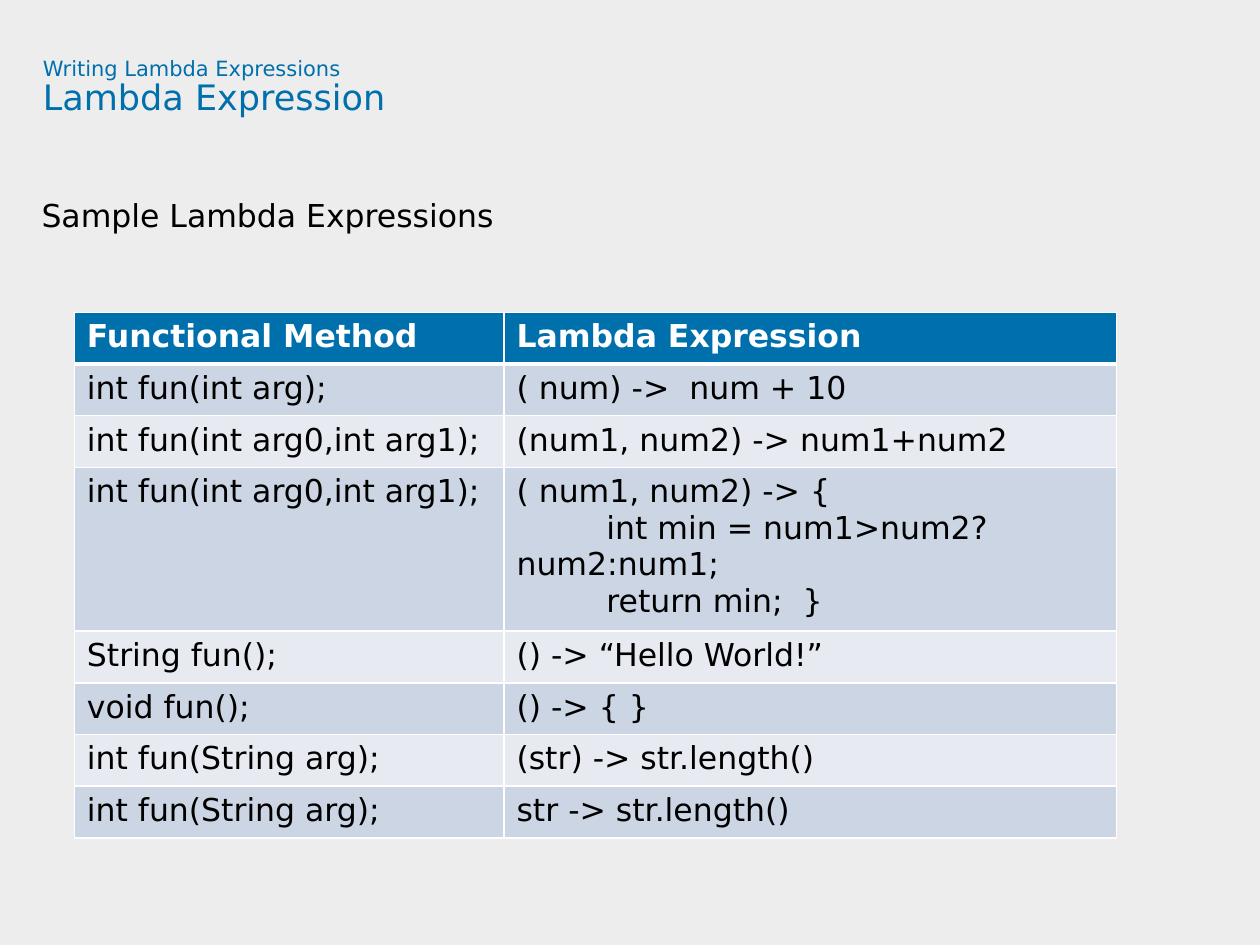
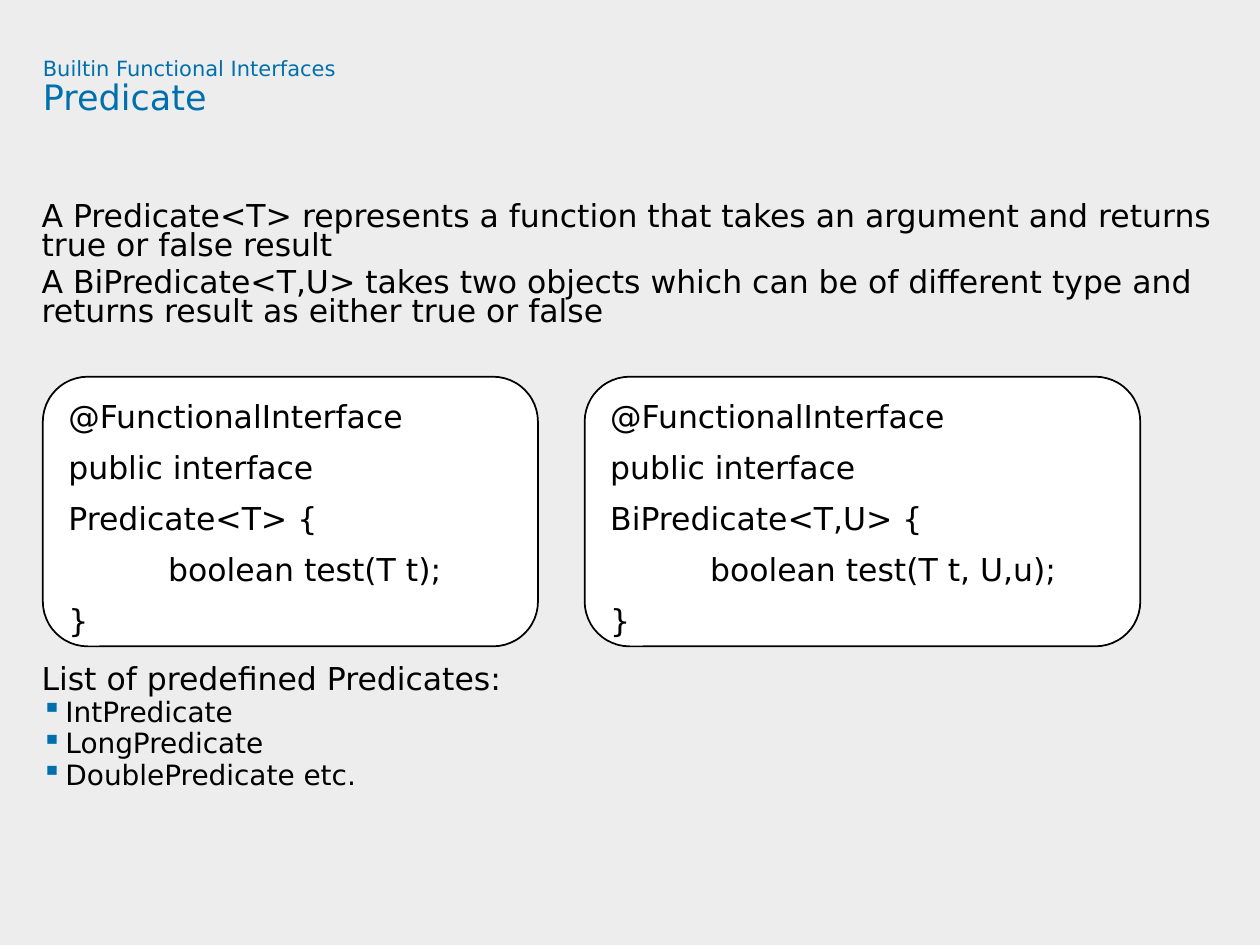
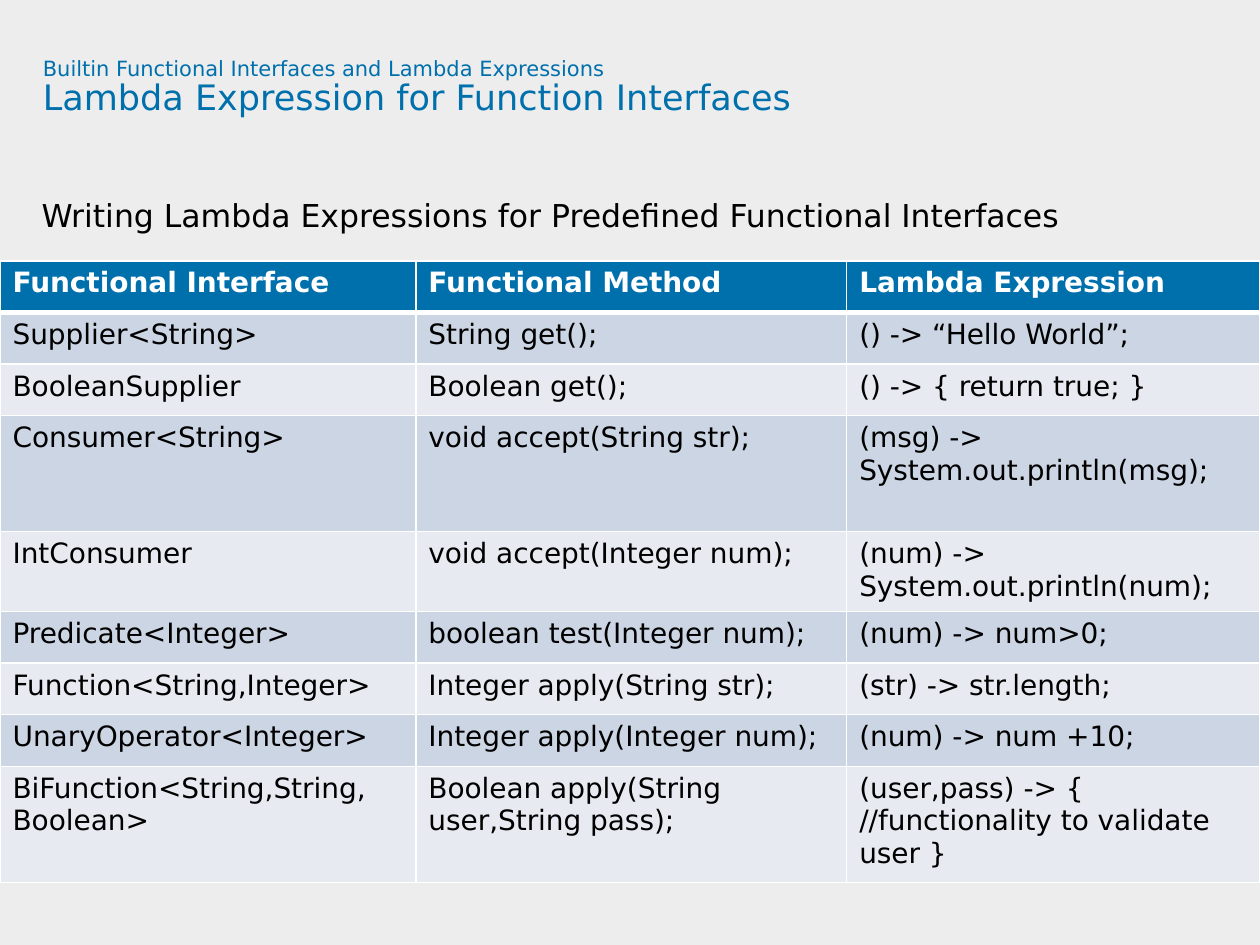
from dataclasses import dataclass

from lxml.etree import SubElement
from pptx import Presentation
from pptx.dml.color import RGBColor
from pptx.enum.shapes import MSO_SHAPE as Shape
from pptx.enum.text import MSO_ANCHOR as Anchor, PP_ALIGN as Align
from pptx.oxml.ns import qn
from pptx.util import Inches, Pt


@dataclass(frozen=True)
class Theme:
    font: str = "DejaVu Sans"
    backdrop: str = "EDEDED"
    accent: str = "0070AD"
    ink: str = "000000"
    white: str = "FFFFFF"
    bands: tuple = ("E7EBF1", "CCD5E3")
    kicker: int = 12
    title: int = 20
    body: int = 18
    small: int = 16


def rgb(color):
    return RGBColor.from_string(color)


class Deck:
    """Holds the theme and the slide being filled."""

    def __init__(self, theme):
        self.theme = theme
        self.prs = Presentation()
        self.prs.slide_width, self.prs.slide_height = Inches(10), Inches(7.5)

    def slide(self, kicker, title):
        t = self.theme
        self.s = self.prs.slides.add_slide(self.prs.slide_layouts[6])
        self.s.background.fill.solid()
        self.s.background.fill.fore_color.rgb = rgb(t.backdrop)
        p = self.text_box(0.34, 0.46, 9.09, 0.94).paragraphs[0]
        p.line_spacing = 0.9
        self.run(p, kicker, t.kicker, t.accent)
        p.add_line_break()
        self.run(p, title, t.title, t.accent)

    def run(self, p, text, size, color, bold=False):
        r = p.add_run()
        r.text = text
        look = {"name": self.theme.font, "size": Pt(size), "bold": bold}
        for key, value in look.items():
            setattr(r.font, key, value)
        r.font.color.rgb = rgb(color)

    def lines(self, tf, texts, size, color, bold=False, **spacing):
        """Write one paragraph per text into a text frame."""
        for i, text in enumerate(texts):
            p = tf.add_paragraph() if i else tf.paragraphs[0]
            p.alignment = Align.LEFT
            for key, value in spacing.items():
                setattr(p, key, value)
            self.run(p, text, size, color, bold)

    def text_box(self, x, y, w, h):
        tf = self.s.shapes.add_textbox(*map(Inches, (x, y, w, h))).text_frame
        tf.word_wrap = True
        for side in ("left", "top", "right", "bottom"):
            setattr(tf, f"margin_{side}", 0)
        return tf

    def body(self, y, h, texts):
        self.lines(self.text_box(0.33, y, 9.67, h), texts, self.theme.body, self.theme.ink,
                   line_spacing=Pt(16.5), space_after=Pt(4.5))

    def bullets(self, y, h, texts):
        t = self.theme
        tf = self.text_box(0.33, y, 9.67, h)
        self.lines(tf, texts, t.small, t.ink, line_spacing=Pt(13.5), space_after=Pt(4.5))
        indent = Inches(0.19)
        for p in tf.paragraphs:
            pPr = p._p.get_or_add_pPr()
            pPr.set("marL", str(indent))
            pPr.set("indent", str(-indent))
            SubElement(SubElement(pPr, qn("a:buClr")), qn("a:srgbClr"), val=t.accent)
            SubElement(pPr, qn("a:buChar"), char="▪")

    def code_card(self, x, w, code):
        t = self.theme
        sp = self.s.shapes.add_shape(Shape.ROUNDED_RECTANGLE,
                                     *map(Inches, (x, 2.99, w, 2.14)))
        sp.shadow.inherit = False
        sp.fill.solid()
        sp.fill.fore_color.rgb = rgb(t.white)
        sp.line.color.rgb = rgb(t.ink)
        sp.line.width = Pt(1)
        tf = sp.text_frame
        tf.word_wrap = True
        tf.vertical_anchor = Anchor.MIDDLE
        self.lines(tf, code, t.body, t.ink, line_spacing=1.35)

    def borders(self, cell, row):
        """White rules, with a heavier one below the header row."""
        tcPr = cell._tc.get_or_add_tcPr()
        for side in "LRTB":
            heavy = (row, side) in ((0, "B"), (1, "T"))
            ln = SubElement(tcPr, qn(f"a:ln{side}"), w=str(Pt(3 if heavy else 1)))
            SubElement(SubElement(ln, qn("a:solidFill")), qn("a:srgbClr"), val=self.theme.white)

    def table(self, x, y, widths, rows, size, tall=()):
        t = self.theme
        heights = [0.92 if i in tall else 0.41 for i in range(len(rows))]
        box = map(Inches, (x, y, sum(widths), sum(heights)))
        table = self.s.shapes.add_table(len(rows), len(widths), *box).table
        for column, width in zip(table.columns, widths):
            column.width = Inches(width)
        for i, (texts, height) in enumerate(zip(rows, heights)):
            table.rows[i].height = Inches(height)
            header = i == 0
            for j, text in enumerate(texts):
                cell = table.cell(i, j)
                self.borders(cell, i)
                cell.fill.solid()
                cell.fill.fore_color.rgb = rgb(t.accent if header else t.bands[i % 2])
                self.lines(cell.text_frame, text.split("\n"), size,
                           t.white if header else t.ink, header)


SAMPLES = [
    ("Functional Method", "Lambda Expression"),
    ("int fun(int arg);", "( num) ->  num + 10"),
    ("int fun(int arg0,int arg1);", "(num1, num2) -> num1+num2"),
    ("int fun(int arg0,int arg1);",
     "( num1, num2) -> {\n         int min = num1>num2?num2:num1;\n         return min;  }"),
    ("String fun();", "() -> “Hello World!”"),
    ("void fun();", "() -> { }"),
    ("int fun(String arg);", "(str) -> str.length()"),
    ("int fun(String arg);", "str -> str.length()"),
]

INTERFACES = [
    ("Functional Interface", "Functional Method", "Lambda Expression"),
    ("Supplier<String>", "String get();", "() -> “Hello World”;"),
    ("BooleanSupplier", "Boolean get();", "() -> { return true; }"),
    ("Consumer<String>", "void accept(String str);", "(msg) -> System.out.println(msg);"),
    ("IntConsumer", "void accept(Integer num);", "(num) -> System.out.println(num);"),
    ("Predicate<Integer>", "boolean test(Integer num);", "(num) -> num>0;"),
    ("Function<String,Integer>", "Integer apply(String str);", "(str) -> str.length;"),
    ("UnaryOperator<Integer>", "Integer apply(Integer num);", "(num) -> num +10;"),
    ("BiFunction<String,String, Boolean>", "Boolean apply(String user,String pass);",
     "(user,pass) -> { //functionality to validate user }"),
]

PREDICATES = [
    (0.34, 3.93, "Predicate<T>", "T t"),
    (4.64, 4.41, "BiPredicate<T,U>", "T t, U,u"),
]


def main():
    theme = Theme()
    deck = Deck(theme)

    deck.slide("Writing Lambda Expressions", "Lambda Expression")
    deck.body(1.63, 0.4, ["Sample Lambda Expressions"])
    deck.table(0.59, 2.48, (3.41, 4.86), SAMPLES, theme.body)

    deck.slide("Builtin Functional Interfaces", "Predicate")
    deck.body(1.63, 1.1, [
        "A Predicate<T> represents a function that takes an argument and returns "
        "true or false result",
        "A BiPredicate<T,U> takes two objects which can be of different type and "
        "returns result as either true or false",
    ])
    for x, w, name, args in PREDICATES:
        deck.code_card(x, w, ["@FunctionalInterface", f"public interface {name} {{",
                              f"          boolean test({args});", "}"])
    deck.body(5.3, 0.29, ["List of predefined Predicates:"])
    deck.bullets(5.59, 0.8, ["IntPredicate", "LongPredicate", "DoublePredicate etc."])

    deck.slide("Builtin Functional Interfaces and Lambda Expressions",
               "Lambda Expression for Function Interfaces")
    deck.body(1.63, 0.4, ["Writing Lambda Expressions for Predefined Functional Interfaces"])
    deck.table(0, 2.07, (3.3, 3.42, 3.28), INTERFACES, theme.small, tall=(3, 8))

    deck.prs.save("out.pptx")


if __name__ == "__main__":
    main()
